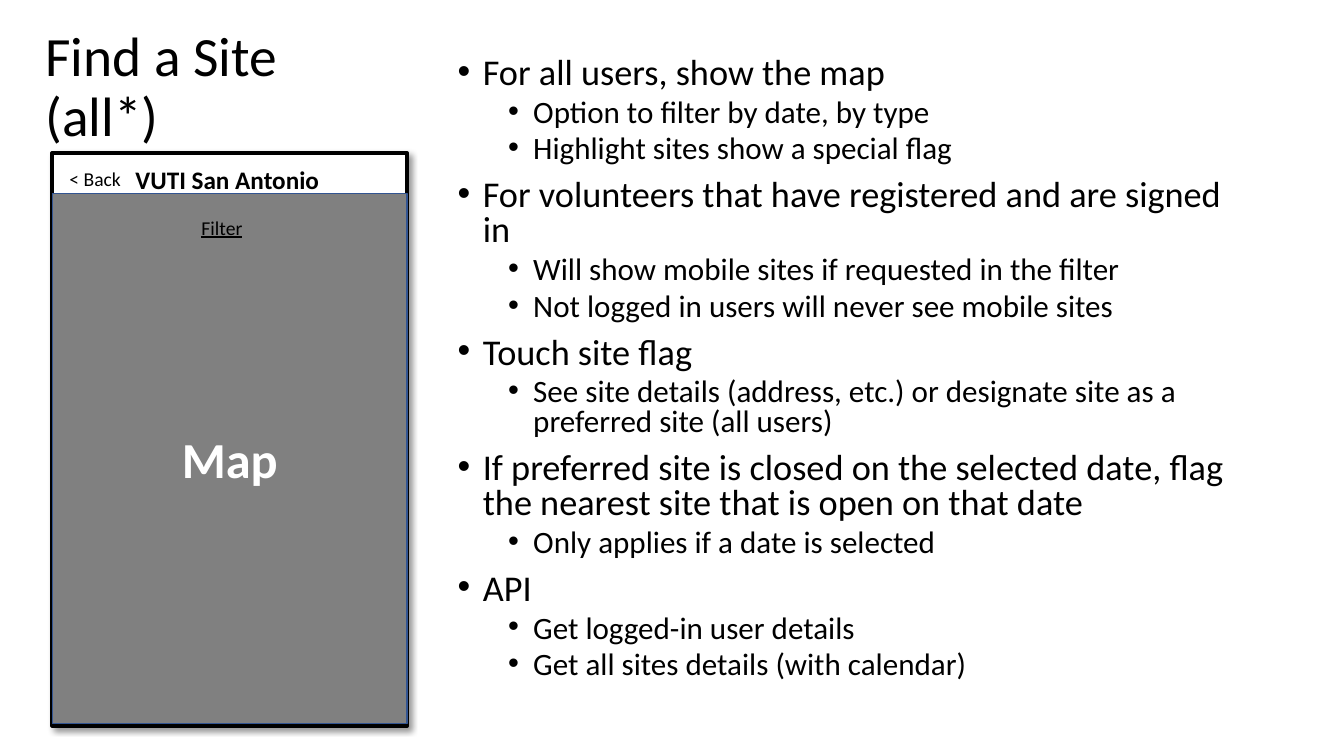
from copy import deepcopy

from lxml import etree
from pptx import Presentation
from pptx.dml.color import RGBColor
from pptx.enum.shapes import MSO_SHAPE as Shape
from pptx.enum.text import MSO_ANCHOR as Anchor, MSO_AUTO_SIZE as Auto, PP_ALIGN as Align
from pptx.oxml.ns import qn
from pptx.util import Pt

BLACK = RGBColor(0, 0, 0)
WHITE = RGBColor(255, 255, 255)
GRAY = RGBColor(128, 128, 128)
BLUE = RGBColor(0x32, 0x54, 0x91)

# Each main point with its sub-points
POINTS = [
    ("For all users, show the map",
     ["Option to filter by date, by type",
      "Highlight sites show a special flag"]),
    ("For volunteers that have registered and are signed in",
     ["Will show mobile sites if requested in the filter",
      "Not logged in users will never see mobile sites"]),
    ("Touch site flag",
     ["See site details (address, etc.) or designate site as a preferred site (all users)"]),
    ("If preferred site is closed on the selected date, flag "
     "the nearest site that is open on that date",
     ["Only applies if a date is selected"]),
    ("API",
     ["Get logged-in user details",
      "Get all sites details (with calendar)"]),
]


def write(para, text, size=18, color=BLACK, font="Calibri", bold=False,
          under=False, align=Align.LEFT, lines=1.0, before=0):
    para.text = text
    para.alignment = align
    para.line_spacing = lines
    para.space_before = Pt(before)
    for run in para.runs:
        run.font.name = font
        run.font.size = Pt(size)
        run.font.bold = bold
        run.font.underline = under
        run.font.color.rgb = color
    # Line breaks take the size of the text around them
    for br in para._p.findall(qn("a:br")):
        br.insert(0, deepcopy(para.runs[0].font._element))


def bullet(para, left, hang):
    props = para._p.get_or_add_pPr()
    props.set("marL", str(Pt(left)))
    props.set("indent", str(-Pt(hang)))
    etree.SubElement(props, qn("a:buFont")).set("typeface", "Arial")
    etree.SubElement(props, qn("a:buChar")).set("char", "•")


def shade(shape, blur, dist, angle, alpha):
    """Give the shape an outer black shadow."""
    glow = etree.SubElement(shape._element.spPr.find(qn("a:effectLst")), qn("a:outerShdw"))
    for key, val in (("blurRad", Pt(blur)), ("dist", Pt(dist)),
                     ("dir", angle * 60000), ("algn", "tl"), ("rotWithShape", 0)):
        glow.set(key, str(val))
    tone = etree.SubElement(glow, qn("a:srgbClr"))
    tone.set("val", str(BLACK))
    etree.SubElement(tone, qn("a:alpha")).set("val", str(alpha * 1000))


class Page:
    def __init__(self, deck):
        self.slide = deck.slides.add_slide(deck.slide_layouts[1])

    def hold(self, index, x, y, w, h, anchor):
        """Move a placeholder and return its text frame."""
        shape = self.slide.placeholders[index]
        shape.left, shape.top, shape.width, shape.height = map(Pt, (x, y, w, h))
        frame = shape.text_frame
        frame.auto_size = Auto.NONE
        frame.vertical_anchor = anchor
        return frame

    def title(self, text, *box):
        frame = self.hold(0, *box, Anchor.MIDDLE)
        write(frame.paragraphs[0], text, size=39.6, lines=0.9)

    def list(self, points, *box):
        frame = self.hold(1, *box, Anchor.TOP)
        rows = [(text, level) for head, subs in points
                for text, level in [(head, 0)] + [(sub, 1) for sub in subs]]
        for i, (text, level) in enumerate(rows):
            para = frame.add_paragraph() if i else frame.paragraphs[0]
            para.level = level
            write(para, text, size=(25.9, 22.2)[level], lines=0.8, before=(10, 5)[level])
            bullet(para, 18 + 36 * level, 18)

    def rect(self, x, y, w, h, fill, line, width):
        shape = self.slide.shapes.add_shape(Shape.RECTANGLE, *map(Pt, (x, y, w, h)))
        shape.shadow.inherit = False
        shape.fill.solid()
        shape.fill.fore_color.rgb = fill
        shape.line.color.rgb = line
        shape.line.width = Pt(width)
        return shape

    def label(self, text, x, y, w, h, wrap=False, **style):
        frame = self.slide.shapes.add_textbox(*map(Pt, (x, y, w, h))).text_frame
        frame.word_wrap = wrap
        frame.auto_size = Auto.SHAPE_TO_FIT_TEXT
        write(frame.paragraphs[0], text, **style)


def main():
    deck = Presentation()
    deck.slide_width, deck.slide_height = Pt(960), Pt(540)
    page = Page(deck)
    page.title("Find a Site\n(all*)", 25.2, 23, 266.4, 80.6)
    page.list(POINTS, 319.7, 37.4, 574.6, 480.2)

    left, wide = 37.4, 253.4
    phone = page.rect(left, 109.4, wide, 409, WHITE, BLACK, 3)
    shade(phone, blur=4, dist=3, angle=45, alpha=40)
    page.label("VUTI San Antonio", 49.7, 113.8, 225.4, 28.8, wrap=True,
               bold=True, align=Align.CENTER)
    area = page.rect(left, 138.2, wide, 378.7, GRAY, BLUE, 1)
    area.text_frame.vertical_anchor = Anchor.MIDDLE
    write(area.text_frame.paragraphs[0], "Map", size=36, color=WHITE,
          bold=True, align=Align.CENTER)
    page.label("< Back", 42.5, 115.9, 51.8, 24.5, size=14)
    page.label("Filter", 136.8, 150.5, 44.6, 24.5, size=14, under=True)
    deck.save("out.pptx")


if __name__ == "__main__":
    main()
